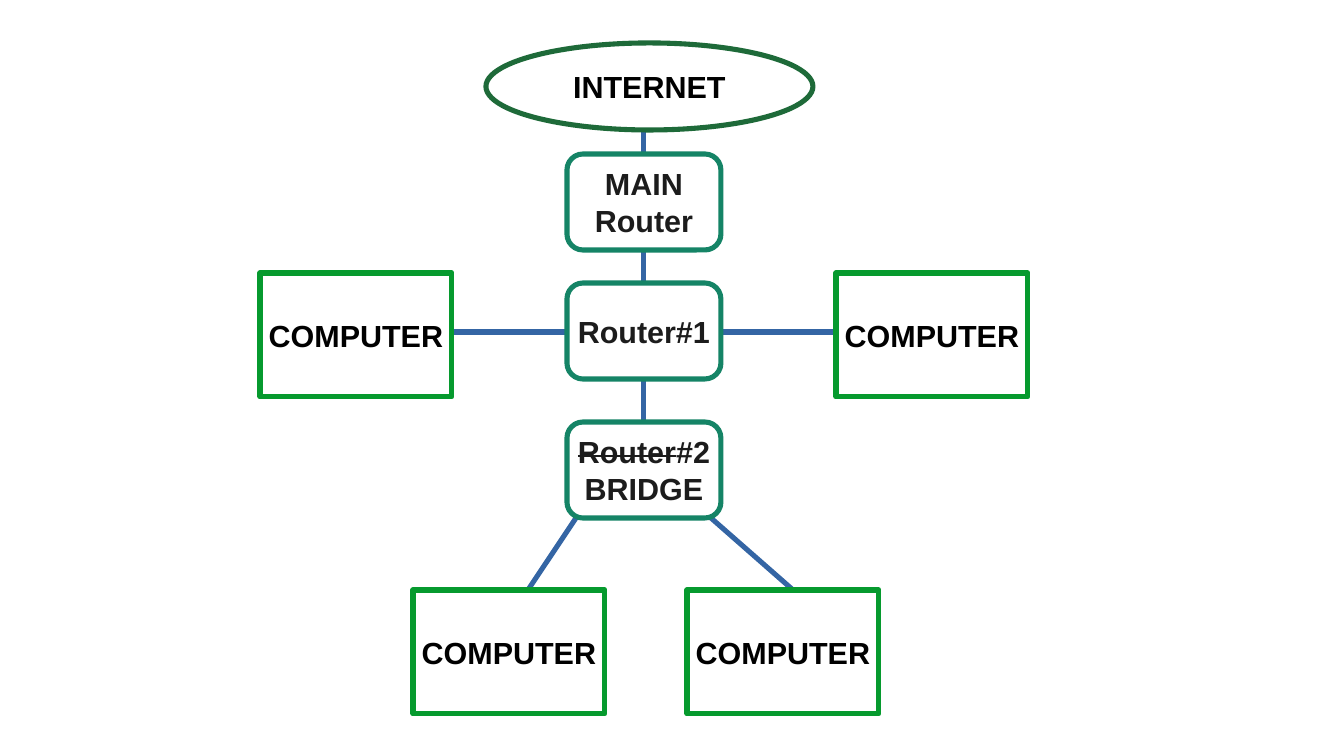
from lxml import etree
from pptx import Presentation
from pptx.dml.color import RGBColor
from pptx.enum import shapes, text
from pptx.oxml.ns import qn
from pptx.util import Emu, Pt

SCALE = 914400 / 122  # EMU per px
COLORS = {
    "paper": "FFFFFF",
    "internet": "1E6A39",
    "router": "158466",
    "computer": "069A2E",
    "link": "3465A4",
    "black": "000000",
    "charcoal": "1C1C1C",
}
KINDS = {  # preset shape, width, height, text colour
    "internet": (shapes.MSO_SHAPE.OVAL, 327, 87, "black"),
    "router": (shapes.MSO_SHAPE.ROUNDED_RECTANGLE, 154, 96, "charcoal"),
    "computer": (shapes.MSO_SHAPE.RECTANGLE, 192, 124, "black"),
}


def px(*lengths):
    return [Emu(round(length * SCALE)) for length in lengths]


def color(name):
    return RGBColor.from_string(COLORS[name])


deck = Presentation()
deck.slide_width, deck.slide_height = px(1344, 756)
page = deck.slides.add_slide(deck.slide_layouts[6])

# Links between the devices
center, row = 644, 332
links = [
    (center, 129, center, 154),
    (center, 250, center, 283),
    (center, 379, center, 422),
    (452, row, 567, row),
    (721, row, 836, row),
    (576, 518, 528, 590),
    (711, 518, 793, 590),
]
for ends in links:
    link = page.shapes.add_connector(shapes.MSO_CONNECTOR.STRAIGHT, *px(*ends))
    link.line.color.rgb = color("link")
    link.line.width = Pt(3)
    etree.SubElement(link._element.spPr, qn("a:effectLst"))

# Devices: kind, left, top, lines of (wording, struck through)
computer = [[("COMPUTER", False)]]
devices = [
    ("internet", 486, 43, [[("INTERNET", False)]]),
    ("router", 567, 154, [[("MAIN", False)], [("Router", False)]]),
    ("router", 567, 283, [[("Router#1", False)]]),
    ("router", 567, 422, [[("Router", True), ("#2", False)], [("BRIDGE", False)]]),
    ("computer", 260, 273, computer),
    ("computer", 836, 273, computer),
    ("computer", 413, 590, computer),
    ("computer", 687, 590, computer),
]
inset_x, inset_y = px(14, 9)
frame_format = {
    "word_wrap": False,
    "vertical_anchor": text.MSO_ANCHOR.MIDDLE,
    "margin_left": inset_x,
    "margin_right": inset_x,
    "margin_top": inset_y,
    "margin_bottom": inset_y,
}
font_format = {"name": "Arial", "size": Pt(18), "bold": True}

for kind, left, top, lines in devices:
    preset, width, height, ink = KINDS[kind]
    box = page.shapes.add_shape(preset, *px(left, top, width, height))
    box.shadow.inherit = False
    box.fill.solid()
    box.fill.fore_color.rgb = color("paper")
    box.line.color.rgb = color(kind)
    box.line.width = Pt(3)
    frame = box.text_frame
    for name, value in frame_format.items():
        setattr(frame, name, value)
    for index, spans in enumerate(lines):
        para = frame.add_paragraph() if index else frame.paragraphs[0]
        para.alignment = text.PP_ALIGN.CENTER
        for wording, struck in spans:
            span = para.add_run()
            span.text = wording
            for name, value in font_format.items():
                setattr(span.font, name, value)
            span.font.color.rgb = color(ink)
            if struck:
                span._r.get_or_add_rPr().set("strike", "sngStrike")

deck.save("out.pptx")
